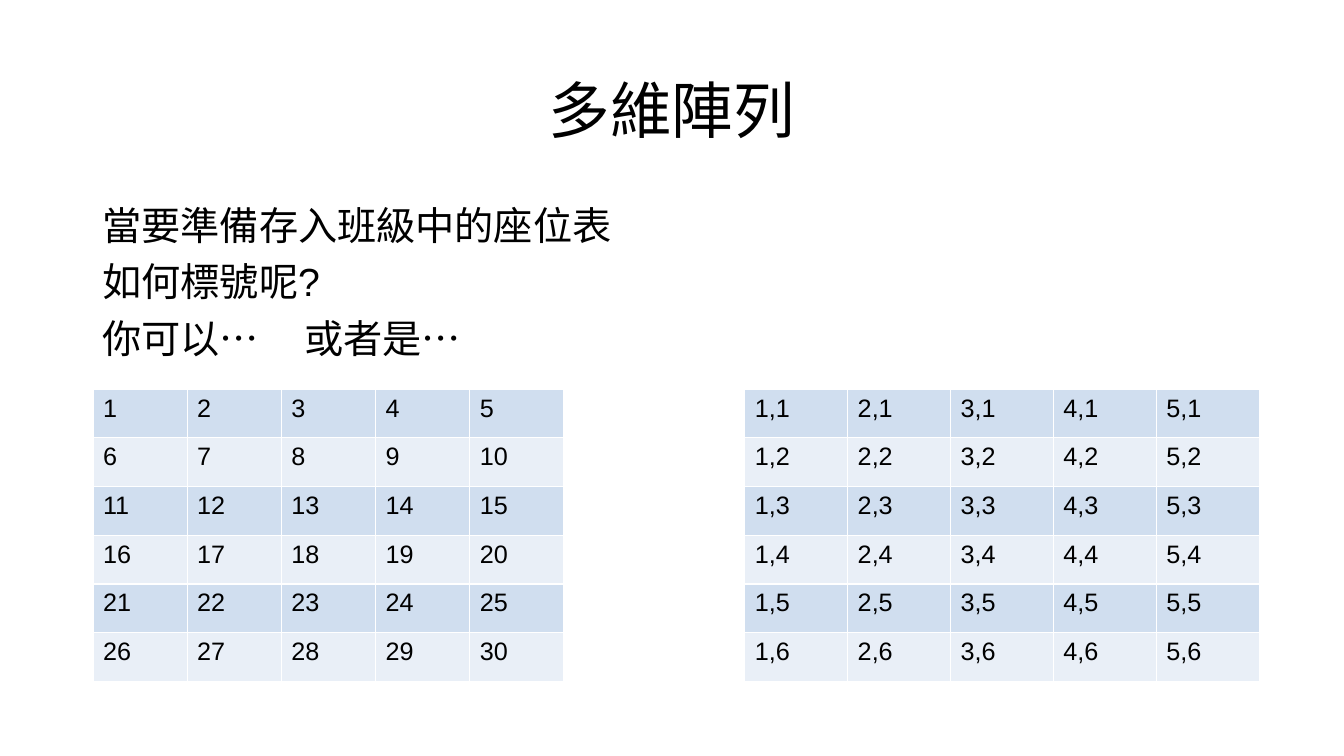
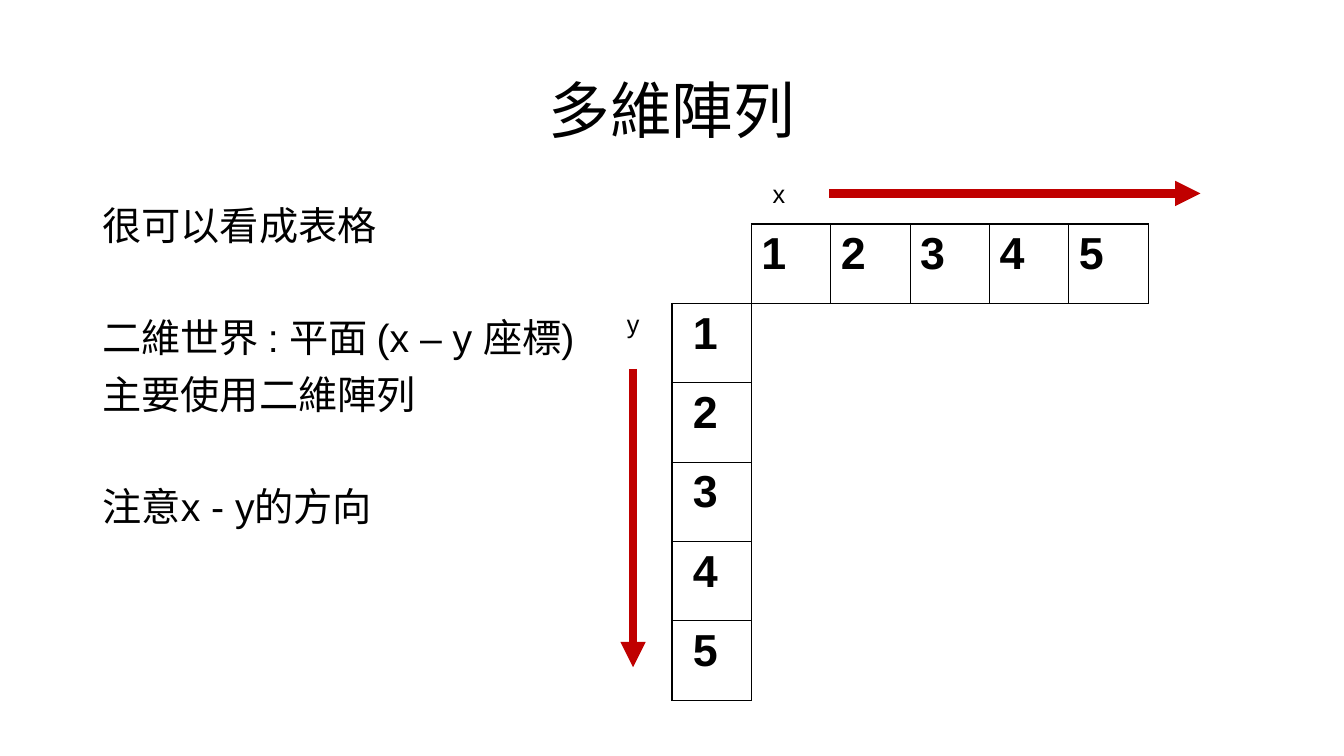
import lxml.etree
import pptx
import pptx.dml.color
import pptx.enum.shapes
import pptx.enum.text
import pptx.oxml
import pptx.oxml.ns
import pptx.util

Pt = pptx.util.Pt
RGBColor = pptx.dml.color.RGBColor
ALIGN = pptx.enum.text.PP_ALIGN
FONT = "Arial"
COLORS = {
    "text": "000000",
    "band_dark": "D0DEEF",
    "band_light": "E9EFF7",
    "white_border": "FFFFFF",
    "black_border": "000000",
    "arrow": "C00000",
}


def format_paragraph(paragraph, size, alignment=ALIGN.LEFT, bold=False):
    paragraph.alignment = alignment
    paragraph.font.name = FONT
    paragraph.font.size = Pt(size)
    paragraph.font.bold = bold
    paragraph.font.color.rgb = RGBColor.from_string(COLORS["text"])


def add_grid(slide, rows, left, top, cell_width, cell_height, border, size,
             bands=None, alignment=ALIGN.LEFT, bold=False):
    column_count = len(rows[0])
    table = slide.shapes.add_table(
        len(rows), column_count, Pt(left), Pt(top),
        Pt(cell_width * column_count), Pt(cell_height * len(rows))).table
    table.first_row = False
    table.horz_banding = False
    for column in table.columns:
        column.width = Pt(cell_width)
    for row_index, texts in enumerate(rows):
        table.rows[row_index].height = Pt(cell_height)
        for column_index, text in enumerate(texts):
            cell = table.cell(row_index, column_index)
            cell.text = text
            format_paragraph(cell.text_frame.paragraphs[0], size, alignment, bold)
            if bands:
                cell.fill.solid()
                cell.fill.fore_color.rgb = RGBColor.from_string(
                    COLORS[bands[row_index % len(bands)]])
            else:
                cell.fill.background()
            properties = cell._tc.get_or_add_tcPr()
            for position, side in enumerate(("lnL", "lnR", "lnT", "lnB")):
                properties.insert(position, pptx.oxml.parse_xml(
                    f'<a:{side} {pptx.oxml.ns.nsdecls("a")} w="12700"><a:solidFill>'
                    f'<a:srgbClr val="{COLORS[border]}"/></a:solidFill></a:{side}>'))


presentation = pptx.Presentation()
presentation.slide_width = Pt(960)
presentation.slide_height = Pt(540)
layout = presentation.slide_layouts[1]
for placeholder, top, height in zip(layout.placeholders, (29, 144), (104, 343)):
    placeholder.left, placeholder.top = Pt(66), Pt(top)
    placeholder.width, placeholder.height = Pt(828), Pt(height)

slide_lines = [
    [("當要準備存入班級中的座位表", 0), ("如何標號呢?", 10), ("你可以…\t或者是…", 10)],
    [("很可以看成表格", 0), ("二維世界 : 平面 (x – y 座標)", 50),
     ("主要使用二維陣列", 10), ("注意x - y的方向", 50)],
]
for lines in slide_lines:
    slide = presentation.slides.add_slide(layout)
    title = slide.shapes.title
    title.text = "多維陣列"
    title.text_frame.vertical_anchor = pptx.enum.text.MSO_ANCHOR.MIDDLE
    title.text_frame.paragraphs[0].line_spacing = 0.9
    format_paragraph(title.text_frame.paragraphs[0], 44, ALIGN.CENTER)
    body = slide.placeholders[1].text_frame
    body.text = "\n".join(text for text, gap in lines)
    body.auto_size = pptx.enum.text.MSO_AUTO_SIZE.NONE
    for paragraph, (text, gap) in zip(body.paragraphs, lines):
        paragraph.line_spacing = 0.9
        paragraph.space_before = Pt(gap)
        properties = paragraph._p.get_or_add_pPr()
        properties.set("marL", "0")
        properties.set("indent", "0")
        lxml.etree.SubElement(properties, pptx.oxml.ns.qn("a:buNone"))
        if "\t" in text:
            tabs = lxml.etree.SubElement(properties, pptx.oxml.ns.qn("a:tabLst"))
            lxml.etree.SubElement(tabs, pptx.oxml.ns.qn("a:tab"),
                                  pos=str(Pt(504)), algn="l")
        format_paragraph(paragraph, 28)

seating_slide, axis_slide = presentation.slides

seat_numbers = [[str(row * 5 + column) for column in range(1, 6)] for row in range(6)]
seat_pairs = [[f"{column},{row}" for column in range(1, 6)] for row in range(1, 7)]
for seats, left, cell_width in ((seat_numbers, 66.4, 67.3), (seat_pairs, 532, 73.5)):
    add_grid(seating_slide, seats, left, 278, cell_width, 34.8, "white_border", 18,
             bands=("band_dark", "band_light"))

cell_size = 56.7
corner_left, corner_top = 480, 160
digits = [str(number) for number in range(1, 6)]
add_grid(axis_slide, [[digit + " "] for digit in digits], corner_left,
         corner_top + cell_size, cell_size, cell_size, "black_border", 32,
         alignment=ALIGN.CENTER, bold=True)
add_grid(axis_slide, [digits], corner_left + cell_size, corner_top,
         cell_size, cell_size, "black_border", 32, bold=True)

axes = [
    ("x", 528, 124, (592.5, 138.2, 857.5, 138.2)),
    ("y", 424, 216.7, (452.2, 263.5, 452.2, 476.6)),
]
for name, left, top, ends in axes:
    label = axis_slide.shapes.add_textbox(Pt(left), Pt(top), Pt(cell_size), Pt(29))
    label.text_frame.word_wrap = True
    label.text_frame.text = name
    format_paragraph(label.text_frame.paragraphs[0], 18, ALIGN.CENTER)
    arrow = axis_slide.shapes.add_connector(
        pptx.enum.shapes.MSO_CONNECTOR.STRAIGHT, *map(Pt, ends))
    arrow.line.color.rgb = RGBColor.from_string(COLORS["arrow"])
    arrow.line.width = Pt(6)
    lxml.etree.SubElement(arrow.line._get_or_add_ln(),
                          pptx.oxml.ns.qn("a:tailEnd"), type="triangle")
    lxml.etree.SubElement(arrow._element.spPr, pptx.oxml.ns.qn("a:effectLst"))

presentation.save("out.pptx")
